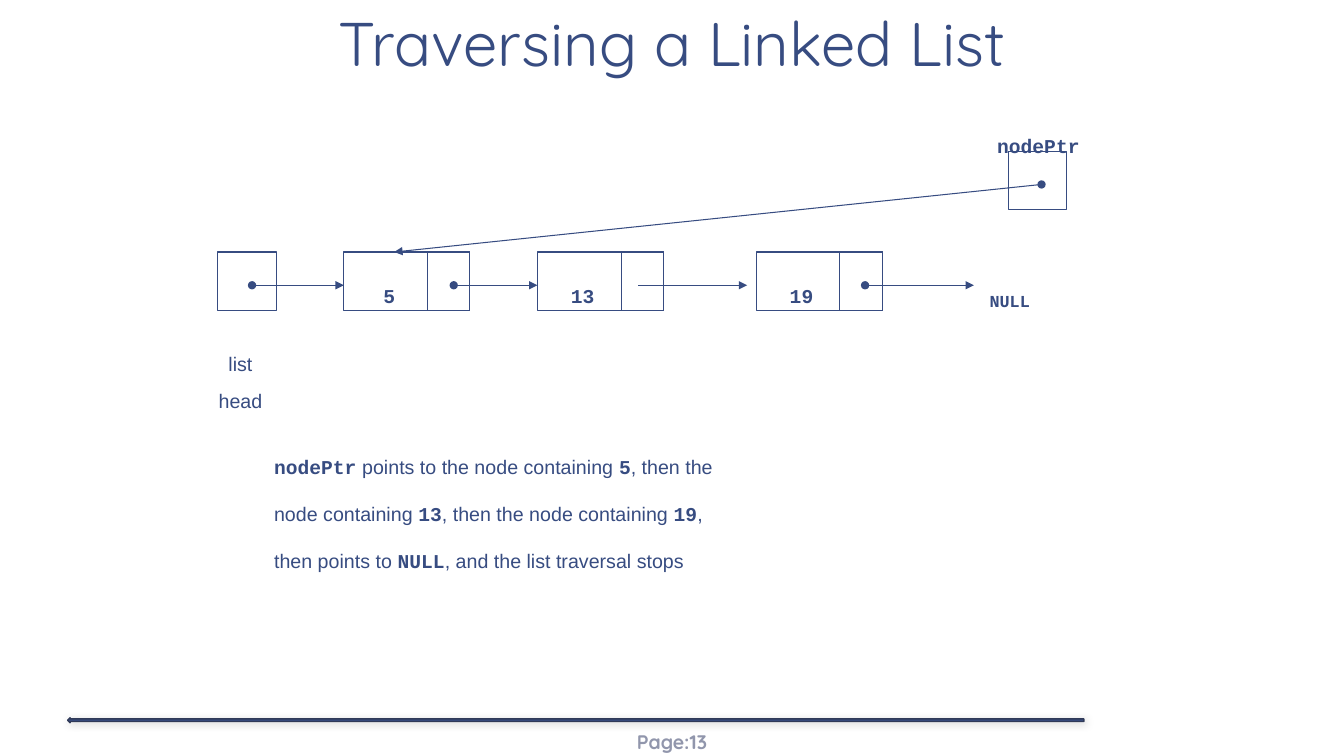
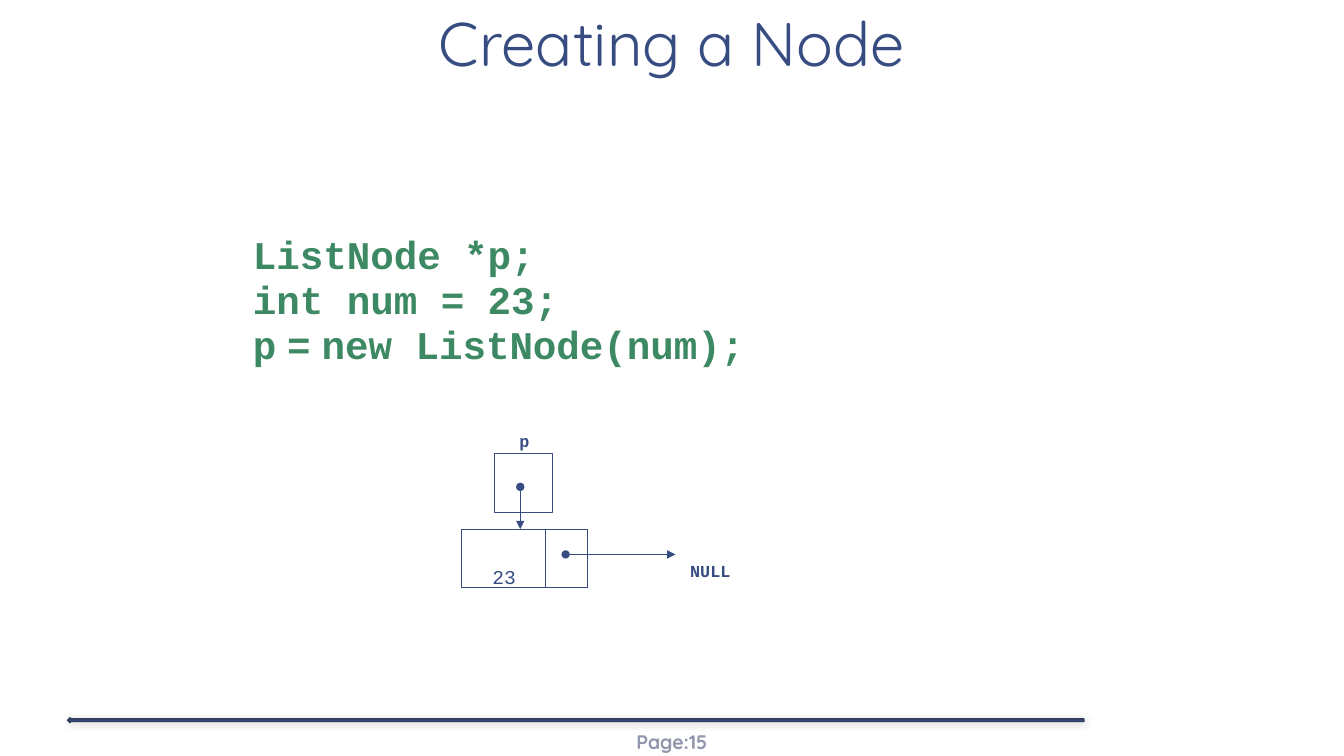
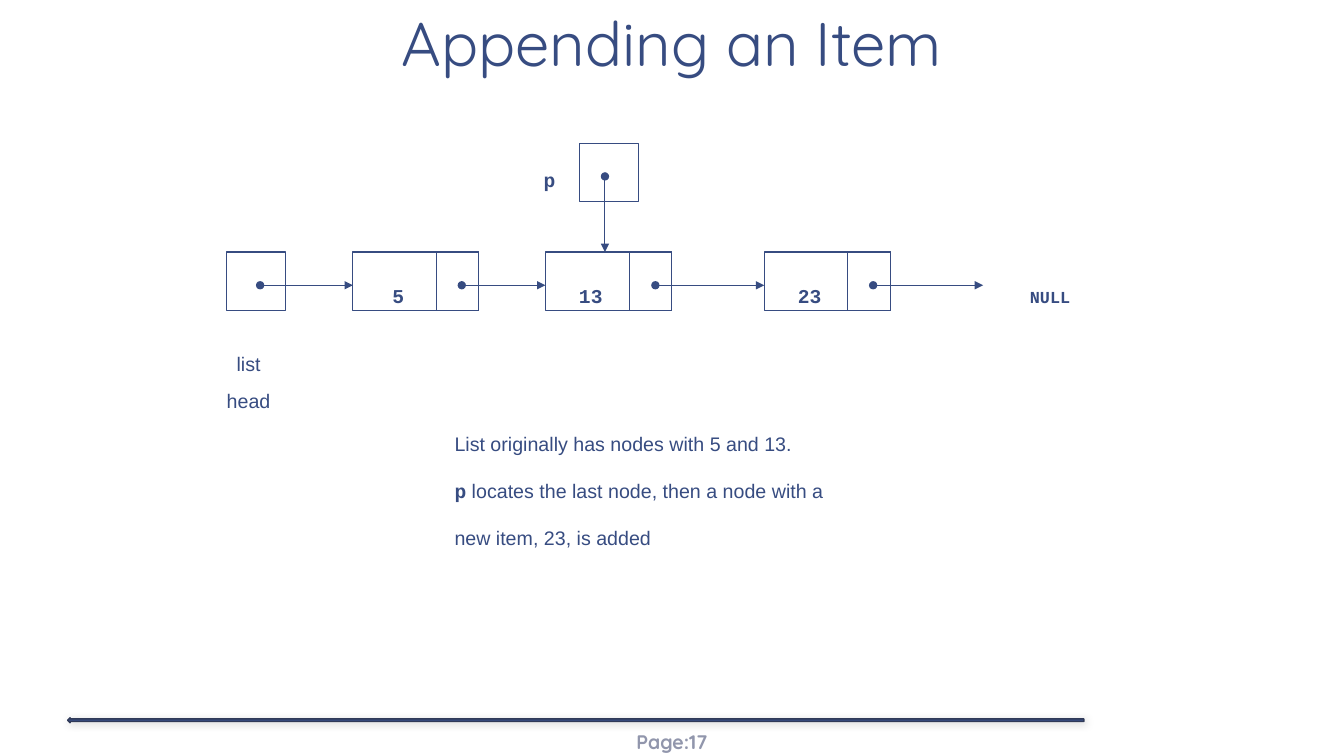
from lxml import etree
from pptx import Presentation
from pptx.dml.color import RGBColor
from pptx.enum.shapes import MSO_CONNECTOR, MSO_SHAPE
from pptx.enum.text import MSO_ANCHOR, PP_ALIGN
from pptx.oxml.ns import qn
from pptx.util import Pt

PX = 9144  # 100 px to the inch
NAVY = RGBColor(0x37, 0x4C, 0x81)
DARK = RGBColor(0x30, 0x3A, 0x58)
GREY = RGBColor(0x91, 0x96, 0xAC)
GREEN = RGBColor(0x3D, 0x89, 0x63)
RECT, ARROW = MSO_SHAPE.RECTANGLE, MSO_SHAPE.LEFT_ARROW
STRAIGHT = MSO_CONNECTOR.STRAIGHT
LEFT, MID = PP_ALIGN.LEFT, PP_ALIGN.CENTER
TOP, CENTER, BOTTOM = MSO_ANCHOR.TOP, MSO_ANCHOR.MIDDLE, MSO_ANCHOR.BOTTOM

# Run styles: font and bold
CODE, THIN = ("Courier New", True), ("Courier New", False)
SANS, GAP = ("Arial", False), ("Arial", True)
TITLE, FOOT = ("Quicksand", False), ("Quicksand", True)


def text(slide, box, paras, size=14, space=2.0, align=MID, color=NAVY,
         anchor=TOP, pad=(10, 5)):
    """Text box; each paragraph is a list of (words, style) runs."""
    frame = slide.shapes.add_textbox(*(v * PX for v in box)).text_frame
    frame.word_wrap = True
    frame.vertical_anchor = anchor
    frame.margin_left = frame.margin_right = pad[0] * PX
    frame.margin_top = frame.margin_bottom = pad[1] * PX
    for i, runs in enumerate(paras):
        para = frame.add_paragraph() if i else frame.paragraphs[0]
        para.alignment = align
        para.line_spacing = space
        for words, (font, bold) in runs:
            run = para.add_run()
            run.text = words
            run.font.name, run.font.bold = font, bold
            run.font.size = Pt(size)
            run.font.color.rgb = color
    return frame


def link(slide, ends, dot=True):
    """Pointer line with an arrowhead and, as a rule, a dot at its start."""
    line = slide.shapes.add_connector(STRAIGHT, *(v * PX for v in ends))
    line.line.color.rgb = NAVY
    line.line.width = Pt(0.75)
    ln = line.line._get_or_add_ln()
    if dot:
        etree.SubElement(ln, qn("a:headEnd"), type="oval")
    etree.SubElement(ln, qn("a:tailEnd"), type="triangle")
    etree.SubElement(line._element.spPr, qn("a:effectLst"))


# Contents: nodes are (x, y, value, style), cells are pointer squares,
# labels are (box, paragraphs, size, line spacing, alignment)
pages = [
    dict(
        title="Traversing a Linked List", page=13,
        nodes=[(341, 250, "5", CODE), (533, 250, "13", CODE), (750, 250, "19", CODE)],
        cells=[(216, 250), (1000, 150)],
        links=[(250, 283, 341, 283), (450, 283, 533, 283),
               (858, 283, 966, 283), (1033, 183, 391, 250)],
        bare=[(633, 283, 741, 283)],
        labels=[
            ((958, 256, 87, 50), [[("NULL", CODE)]], 12, 2.4, MID),
            ((191, 330, 95, 75), [[("list", SANS)], [("head", SANS)]], 14, 1.6, MID),
            ((950, 114, 160, 42), [[("nodePtr", CODE)]], 14, 1.6, MID),
            ((262, 423, 771, 131), [
                [("nodePtr", CODE), (" points to the node containing ", SANS),
                 ("5", CODE), (", then the", SANS)],
                [("node containing ", SANS), ("13", CODE),
                 (", then the node containing ", SANS), ("19", CODE), (",", SANS)],
                [("then points to ", SANS), ("NULL", CODE),
                 (", and the list traversal stops", SANS)],
            ], 14, 2.0, LEFT),
        ]),
    dict(
        title="Creating a Node", page=15,
        nodes=[(458, 525, "23", THIN)],
        cells=[(490, 450)],
        links=[(516, 483, 516, 525), (561, 550, 670, 550)],
        bare=[],
        labels=[
            ((661, 523, 87, 50), [[("NULL", CODE)]], 12, 2.4, MID),
            ((491, 402, 58, 43), [[("p", CODE)]], 12, 2.0, MID),
        ]),
    dict(
        title="Appending an Item", page=17,
        nodes=[(350, 250, "5", CODE), (541, 250, "13", CODE), (758, 250, "23", CODE)],
        cells=[(225, 250), (575, 142)],
        links=[(258, 283, 350, 283), (458, 283, 541, 283), (650, 283, 758, 283),
               (866, 283, 975, 283), (600, 175, 600, 250)],
        bare=[],
        labels=[
            ((199, 330, 95, 75), [[("list", SANS)], [("head", SANS)]], 14, 1.6, MID),
            ((525, 148, 40, 42), [[("p", CODE)]], 14, 1.6, MID),
            ((983, 260, 117, 43), [[("NULL", CODE)]], 12, 2.0, MID),
            ((441, 400, 390, 212), [
                [("List originally has nodes with 5 and 13.", SANS)],
                [("p", CODE),
                 (" locates the last node, then a node with a new item, 23, is added", SANS)],
            ], 14, 2.0, LEFT),
        ]),
]

deck = Presentation()
deck.slide_width, deck.slide_height = 1333 * PX, 750 * PX

for page in pages:
    slide = deck.slides.add_slide(deck.slide_layouts[6])

    # Footer and title
    text(slide, (578, 716, 177, 40), [[(f"Page:{page['page']}", FOOT)]],
         space=1.0, color=GREY, anchor=CENTER, pad=(4, 2))
    bar = slide.shapes.add_shape(ARROW, 67 * PX, 712 * PX, 1008 * PX, 5 * PX)
    bar.fill.solid()
    bar.fill.fore_color.rgb = NAVY
    bar.line.color.rgb = DARK
    bar.line.width = Pt(1)
    bar.shadow.inherit = False
    glow = etree.SubElement(bar._element.spPr.find(qn("a:effectLst")), qn("a:outerShdw"),
                            blurRad=str(Pt(6)), dist=str(Pt(1)), dir="2700000")
    black = etree.SubElement(glow, qn("a:srgbClr"), val="000000")
    etree.SubElement(black, qn("a:alpha"), val="20000")
    text(slide, (0, 0, 1333, 86), [[(page["title"], TITLE)]], size=44,
         space=0.85, anchor=BOTTOM, pad=(13, 7))

    # Nodes with their pointer cells, and single cells
    boxes = [(x, y, 58, 58) for x, y in page["cells"]]
    for x, y, value, style in page["nodes"]:
        boxes += [(x, y, 125, 58), (x + 83, y, 42, 58)]
    for box in boxes:
        cell = slide.shapes.add_shape(RECT, *(v * PX for v in box))
        cell.fill.background()
        cell.line.color.rgb = NAVY
        cell.line.width = Pt(0.75)
        cell.shadow.inherit = False
    for x, y, value, style in page["nodes"]:
        # The plain value sits a little lower and further left
        dx, dy = (12, 7) if style == THIN else (15, 3)
        text(slide, (x + dx, y + dy, 60, 50), [[(value, style)]])

    # Pointers and labels
    for ends in page["links"]:
        link(slide, ends)
    for ends in page["bare"]:
        link(slide, ends, dot=False)
    for box, paras, size, space, align in page["labels"]:
        text(slide, box, paras, size, space, align)

# Code on the second slide
code = [
    [("ListNode *p;", CODE)],
    [("int num = 23;", CODE)],
    [("p", CODE), (" ", GAP), ("=", CODE), (" ", GAP), ("new ListNode(num);", CODE)],
]
frame = text(deck.slides[1], (241, 150, 850, 475), code, size=28,
             space=Pt(32), align=LEFT, color=GREEN)
frame.margin_top = 81 * PX

deck.save("out.pptx")
